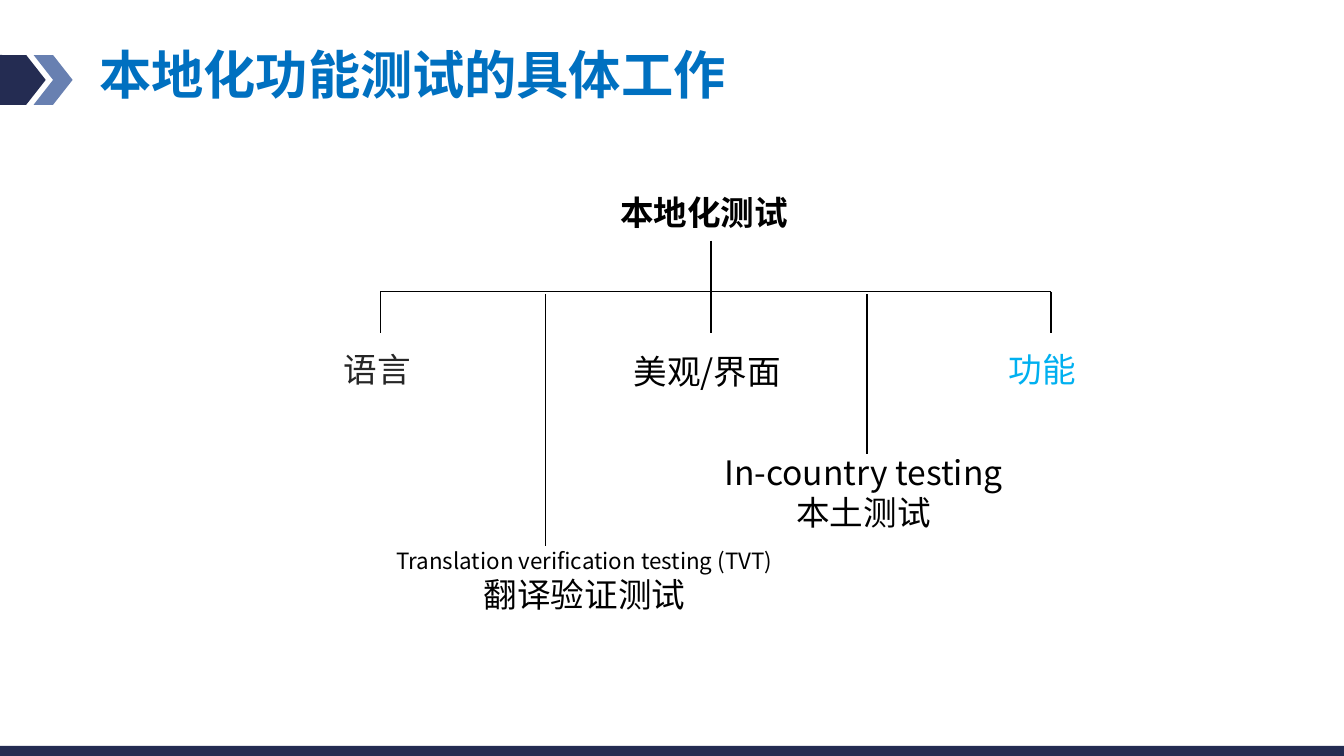
from dataclasses import dataclass

from lxml import etree
from pptx import Presentation
from pptx.dml.color import RGBColor
from pptx.enum.shapes import MSO_CONNECTOR, MSO_SHAPE
from pptx.enum.text import MSO_ANCHOR, PP_ALIGN
from pptx.oxml.ns import qn
from pptx.slide import Slide
from pptx.util import Inches, Length, Pt

STRAIGHT = MSO_CONNECTOR.STRAIGHT
CHEVRON, ROUNDED = MSO_SHAPE.CHEVRON, MSO_SHAPE.ROUNDED_RECTANGLE
RECTANGLE = MSO_SHAPE.RECTANGLE
LEFT, CENTER = PP_ALIGN.LEFT, PP_ALIGN.CENTER
TOP, MIDDLE = MSO_ANCHOR.TOP, MSO_ANCHOR.MIDDLE

FONT = "Noto Sans CJK SC"
NAVY, STEEL, BLACK = "242C52", "6880B1", "000000"

# Square grid on a 16:9 slide: 100 columns by 56.25 rows
COLUMNS, ROWS = 100, 56.25
CELL = 0.1

# Tree levels, in rows, and the column of the trunk
TRUNK = 52.9
TRUNK_TOP, BAR, SHORT_END, GAP = 17.9, 21.7, 24.8, 0.2


@dataclass(frozen=True)
class Box:
    left: float
    top: float
    width: float
    height: float

    def lengths(self) -> list[Length]:
        return [grid(n) for n in (self.left, self.top, self.width, self.height)]


@dataclass(frozen=True)
class Branch:
    column: float
    start: float
    end: float
    box: Box
    lines: tuple[tuple[str, int], ...]
    color: str = BLACK


BRANCHES = [
    Branch(28.3, BAR, SHORT_END, Box(24.5, 25.5, 7.1, 4), (("语言", 18),), "262626"),
    Branch(40.6, BAR + GAP, 40.6, Box(28, 40.2, 31, 6.1),
           (("Translation verification testing (TVT)", 12), ("翻译验证测试", 18))),
    Branch(TRUNK, BAR, SHORT_END, Box(45.2, 25.6, 15.4, 4), (("美观/界面 ", 18),)),
    Branch(64.5, BAR + GAP, 33.8, Box(51.2, 33.1, 26.1, 7.1),
           (("In-country testing", 18), ("本土测试", 18))),
    Branch(78.2, BAR, SHORT_END, Box(74, 25.5, 7.1, 4), (("功能", 18),), "00B0F0"),
]


def grid(cells: float) -> Length:
    return Inches(cells * CELL)


def rgb(value: str) -> RGBColor:
    return RGBColor.from_string(value)


def add_block(slide: Slide, kind: MSO_SHAPE, box: Box, color: str):
    shape = slide.shapes.add_shape(kind, *box.lengths())
    shape.shadow.inherit = False
    shape.fill.solid()
    shape.fill.fore_color.rgb = rgb(color)
    shape.line.fill.background()
    return shape


def add_line(slide: Slide, start: tuple[float, float], end: tuple[float, float]) -> None:
    points = [grid(n) for n in (*start, *end)]
    line = slide.shapes.add_connector(STRAIGHT, *points)
    line.line.color.rgb = rgb(BLACK)
    line.line.width = Pt(0.75)
    properties = line._element.spPr
    etree.SubElement(properties, qn("a:effectLst"))


def add_text(slide: Slide, box: Box, lines: tuple[tuple[str, int], ...], *,
             color: str = BLACK, bold: bool = False, align: PP_ALIGN = CENTER,
             anchor: MSO_ANCHOR = TOP, wrap: bool = False, spacing: float = 1.0) -> None:
    frame = slide.shapes.add_textbox(*box.lengths()).text_frame
    frame.word_wrap = wrap
    frame.vertical_anchor = anchor
    for index, (text, size) in enumerate(lines):
        paragraph = frame.add_paragraph() if index else frame.paragraphs[0]
        paragraph.alignment = align
        paragraph.line_spacing = spacing
        run = paragraph.add_run()
        run.text = text
        run.font.size = Pt(size)
        run.font.bold = bold
        run.font.color.rgb = rgb(color)
        run.font.name = FONT
        # East Asian characters take their own typeface
        etree.SubElement(run.font._element, qn("a:ea"), typeface=FONT)


def add_frame(slide: Slide) -> None:
    # Heading marker, footer band and title
    tab = add_block(slide, ROUNDED, Box(-1.5, 4.1, 3.5, 3.7), NAVY)
    tab.adjustments[0] = 0.1
    for left, color in ((2.5, STEEL), (0.5, NAVY)):
        add_block(slide, CHEVRON, Box(left, 4.1, 2.9, 3.7), color)
    add_block(slide, RECTANGLE, Box(0, 55.5, COLUMNS, 1.3), NAVY)
    add_text(slide, Box(6.4, 2.9, 58.1, 5.7), (("本地化功能测试的具体工作", 28),),
             color="0070C0", bold=True, align=LEFT, anchor=MIDDLE, wrap=True, spacing=0.9)


def add_tree(slide: Slide) -> None:
    # Root, trunk and crossbar
    add_text(slide, Box(45.1, 13.8, 14.6, 4), (("本地化测试", 18),), bold=True)
    add_line(slide, (TRUNK, TRUNK_TOP), (TRUNK, BAR))
    add_line(slide, (BRANCHES[0].column, BAR), (BRANCHES[-1].column, BAR))
    # Branches with their labels
    for branch in BRANCHES:
        add_line(slide, (branch.column, branch.start), (branch.column, branch.end))
        add_text(slide, branch.box, branch.lines, color=branch.color)


def main() -> None:
    presentation = Presentation()
    presentation.slide_width = grid(COLUMNS)
    presentation.slide_height = grid(ROWS)
    slide = presentation.slides.add_slide(presentation.slide_layouts[6])
    add_frame(slide)
    add_tree(slide)
    presentation.save("out.pptx")


if __name__ == "__main__":
    main()
